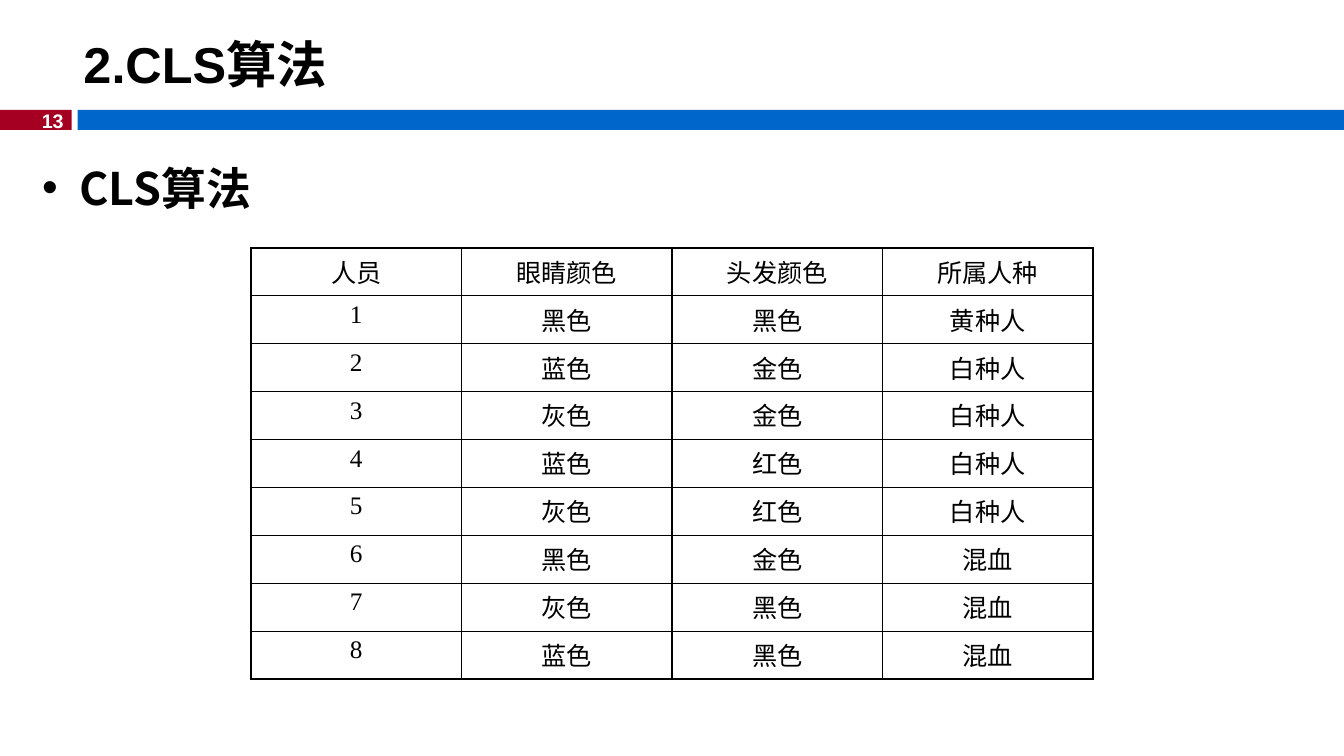
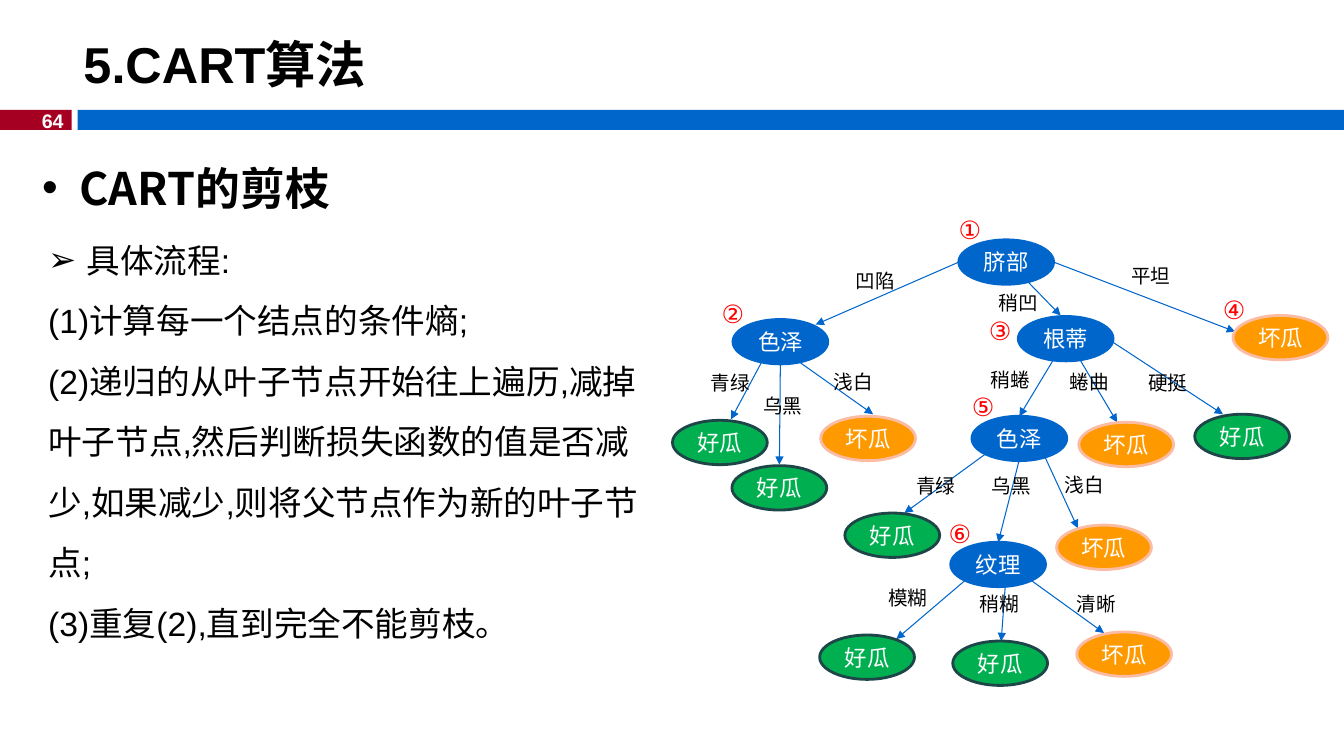
from lxml import etree
from pptx import Presentation
from pptx.dml.color import RGBColor
from pptx.enum import shapes, text
from pptx.oxml import ns
from pptx.util import Inches, Pt

BLACK = RGBColor(0x00, 0x00, 0x00)
WHITE = RGBColor(0xFF, 0xFF, 0xFF)
RED = RGBColor(0xFF, 0x00, 0x00)
CRIMSON = RGBColor(0xA5, 0x00, 0x21)
BLUE = RGBColor(0x00, 0x66, 0xCC)
GREEN = RGBColor(0x00, 0xB0, 0x50)
DARK_GREEN = RGBColor(0x1E, 0x46, 0x49)
ORANGE = RGBColor(0xFF, 0x99, 0x00)
PEACH = RGBColor(0xFB, 0xBC, 0xA3)

SANS, CJK, SERIF = "Arial", "Noto Sans CJK SC", "Times New Roman"
LEFT, CENTER, RIGHT = text.PP_ALIGN.LEFT, text.PP_ALIGN.CENTER, text.PP_ALIGN.RIGHT

PEOPLE = [
    ("人员", "眼睛颜色", "头发颜色", "所属人种"),
    ("1", "黑色", "黑色", "黄种人"),
    ("2", "蓝色", "金色", "白种人"),
    ("3", "灰色", "金色", "白种人"),
    ("4", "蓝色", "红色", "白种人"),
    ("5", "灰色", "红色", "白种人"),
    ("6", "黑色", "金色", "混血"),
    ("7", "灰色", "黑色", "混血"),
    ("8", "蓝色", "黑色", "混血"),
]

STEPS = [
    "具体流程:",
    "(1)计算每一个结点的条件熵;",
    "(2)递归的从叶子节点开始往上遍历,减掉叶子节点,然后判断损失函数的值是否减少,如果减少,则将父节点作为新的叶子节点;",
    "(3)重复(2),直到完全不能剪枝。",
]

NODE_SIZE = (0.94, 0.44)
NODE_COLORS = {"好瓜": (GREEN, DARK_GREEN), "坏瓜": (ORANGE, PEACH)}
NODES = [
    ("脐部", 9.51, 2.38),
    ("色泽", 7.27, 3.17), ("根蒂", 10.1, 3.14), ("坏瓜", 12.23, 3.13),
    ("好瓜", 6.67, 4.17), ("好瓜", 7.26, 4.62), ("坏瓜", 8.14, 4.13),
    ("色泽", 9.64, 4.13), ("坏瓜", 10.7, 4.19), ("好瓜", 11.85, 4.11),
    ("好瓜", 8.38, 5.09), ("纹理", 9.43, 5.38), ("坏瓜", 10.48, 5.21),
    ("好瓜", 8.13, 6.3), ("好瓜", 9.45, 6.36), ("坏瓜", 10.68, 6.27),
]

BRANCHES = [
    ("凹陷", (8.39, 2.62), (9.51, 2.6), (8.09, 3.22)),
    ("稍凹", (9.81, 2.84), (9.82, 2.41), (10.52, 3.13)),
    ("平坦", (11.12, 2.57), (10.45, 2.6), (12.25, 3.29)),
    ("青绿", (6.95, 3.63), (7.55, 3.6), (7.25, 4.16)),
    ("乌黑", (7.47, 3.86), (7.74, 3.6), (7.73, 4.61)),
    ("浅白", (8.17, 3.62), (7.94, 3.6), (8.66, 4.11)),
    ("稍蜷", (9.73, 3.6), (10.67, 3.2), (10.11, 4.13)),
    ("蜷曲", (10.51, 3.62), (10.7, 3.55), (11.08, 4.19)),
    ("硬挺", (11.29, 3.63), (11.03, 3.39), (12.13, 4.11)),
    ("青绿", (8.99, 4.65), (9.78, 4.5), (8.97, 5.09)),
    ("乌黑", (9.74, 4.65), (10.11, 4.56), (9.9, 5.38)),
    ("浅白", (10.46, 4.64), (10.33, 4.46), (10.69, 5.24)),
    ("模糊", (8.71, 5.76), (9.57, 5.76), (8.89, 6.34)),
    ("稍糊", (9.62, 5.82), (9.97, 5.82), (9.93, 6.36)),
    ("清晰", (10.58, 5.82), (10.23, 5.76), (10.95, 6.28)),
]

VISIT_ORDER = [
    ("①", 9.41, 2.08), ("②", 7.06, 2.91), ("③", 9.71, 3.08),
    ("④", 12.03, 2.87), ("⑤", 9.54, 3.83), ("⑥", 9.31, 5.09),
]


def inches(*values):
    return [Inches(value) for value in values]


def write(para, words, size, color=BLACK, name=SANS, bold=False, align=LEFT):
    para.text = words
    para.alignment = align
    font = para.font
    font.size, font.bold, font.name = Pt(size), bold, name
    font.color.rgb = color
    etree.SubElement(font._rPr, ns.qn("a:ea"), typeface=CJK)


def add_text(page, area, words, size, wrap=True, anchor=text.MSO_ANCHOR.TOP, **style):
    box = page.shapes.add_textbox(*inches(*area))
    box.text_frame.word_wrap = wrap
    box.text_frame.vertical_anchor = anchor
    write(box.text_frame.paragraphs[0], words, size, **style)
    return box


def add_bullet(para, mark, indent):
    props = para._p.get_or_add_pPr()
    props.set("marL", str(Inches(indent)))
    props.set("indent", str(-Inches(indent)))
    defaults = props.find(ns.qn("a:defRPr"))
    for tag, key, value in (("a:buFont", "typeface", SANS), ("a:buChar", "char", mark)):
        bullet = etree.Element(ns.qn(tag))
        bullet.set(key, value)
        defaults.addprevious(bullet)


def add_filled(page, kind, area, fill, line=None):
    shape = page.shapes.add_shape(kind, *inches(*area))
    shape.shadow.inherit = False
    shape.fill.solid()
    shape.fill.fore_color.rgb = fill
    if line is None:
        shape.line.fill.background()
    else:
        shape.line.color.rgb = line
        shape.line.width = Pt(2)
    return shape


def start_page(deck, number, title, heading):
    page = deck.slides.add_slide(deck.slide_layouts[6])
    for left, width, color in ((0, 0.71, CRIMSON), (0.77, 12.56, BLUE)):
        add_filled(page, shapes.MSO_SHAPE.RECTANGLE, (left, 1.09, width, 0.2), color)
    add_text(page, (0.29, 1.03, 0.44, 0.34), number, 14, wrap=False,
             color=WHITE, bold=True, align=RIGHT)
    add_text(page, (0.73, 0.26, 12.6, 0.74), title, 36,
             anchor=text.MSO_ANCHOR.MIDDLE, bold=True)
    body = add_text(page, (0.32, 1.59, 12.6, 0.7), heading, 32, name=CJK, bold=True)
    body.text_frame.margin_top = 0
    add_bullet(body.text_frame.paragraphs[0], "•", 0.37)
    return page


def set_borders(cell, widths):
    props = cell._tc.get_or_add_tcPr()
    for place, (side, width) in enumerate(widths.items()):
        line = etree.Element(ns.qn("a:ln" + side), w=str(Pt(width)))
        fill = etree.SubElement(line, ns.qn("a:solidFill"))
        etree.SubElement(fill, ns.qn("a:srgbClr"), val=str(BLACK))
        props.insert(place, line)


def add_people_table(page):
    last_row, last_column = len(PEOPLE) - 1, len(PEOPLE[0]) - 1
    table = page.shapes.add_table(last_row + 1, last_column + 1,
                                  *inches(2.49, 2.46, 8.35, 4.28)).table
    table.first_row = table.horz_banding = False
    for r, row in enumerate(PEOPLE):
        for c, words in enumerate(row):
            cell = table.cell(r, c)
            cell.fill.background()
            write(cell.text_frame.paragraphs[0], words, 18, name=SERIF, align=CENTER)
            outer = {"L": c == 0, "R": c == last_column, "T": r == 0, "B": r == last_row}
            set_borders(cell, {side: 2.25 if edge else 1 for side, edge in outer.items()})


def add_arrow(page, start, end):
    arrow = page.shapes.add_connector(shapes.MSO_CONNECTOR.STRAIGHT, *inches(*start, *end))
    arrow.line.color.rgb = BLUE
    arrow.line.width = Pt(0.75)
    etree.SubElement(arrow.line._get_or_add_ln(), ns.qn("a:tailEnd"), type="triangle")
    etree.SubElement(arrow._element.spPr, ns.qn("a:effectLst"))


def add_tree(page):
    for _, _, start, end in BRANCHES:
        add_arrow(page, start, end)
    for words, left, top in NODES:
        fill, line = NODE_COLORS.get(words, (BLUE, BLUE))
        node = add_filled(page, shapes.MSO_SHAPE.OVAL, (left, top, *NODE_SIZE), fill, line)
        node.text_frame.word_wrap = False
        node.text_frame.vertical_anchor = text.MSO_ANCHOR.MIDDLE
        write(node.text_frame.paragraphs[0], words, 16, color=WHITE, align=CENTER)
    for words, corner, _, _ in BRANCHES:
        add_text(page, (*corner, 0.7, 0.34), words, 14)
    for words, left, top in VISIT_ORDER:
        add_text(page, (left, top, 0.7, 0.4), words, 18, color=RED)


def add_steps(page):
    frame = add_text(page, (0.38, 2.13, 6.06, 4.34), STEPS[0], 24).text_frame
    for step in STEPS[1:]:
        write(frame.add_paragraph(), step, 24)
    for para in frame.paragraphs:
        para.line_spacing = 1.5
    add_bullet(frame.paragraphs[0], "➢", 0.38)


def main():
    deck = Presentation()
    deck.slide_width, deck.slide_height = inches(13.33, 7.5)
    add_people_table(start_page(deck, "13", "2.CLS算法", "CLS算法"))
    pruning = start_page(deck, "64", "5.CART算法", "CART的剪枝")
    add_tree(pruning)
    add_steps(pruning)
    deck.save("out.pptx")


if __name__ == "__main__":
    main()
